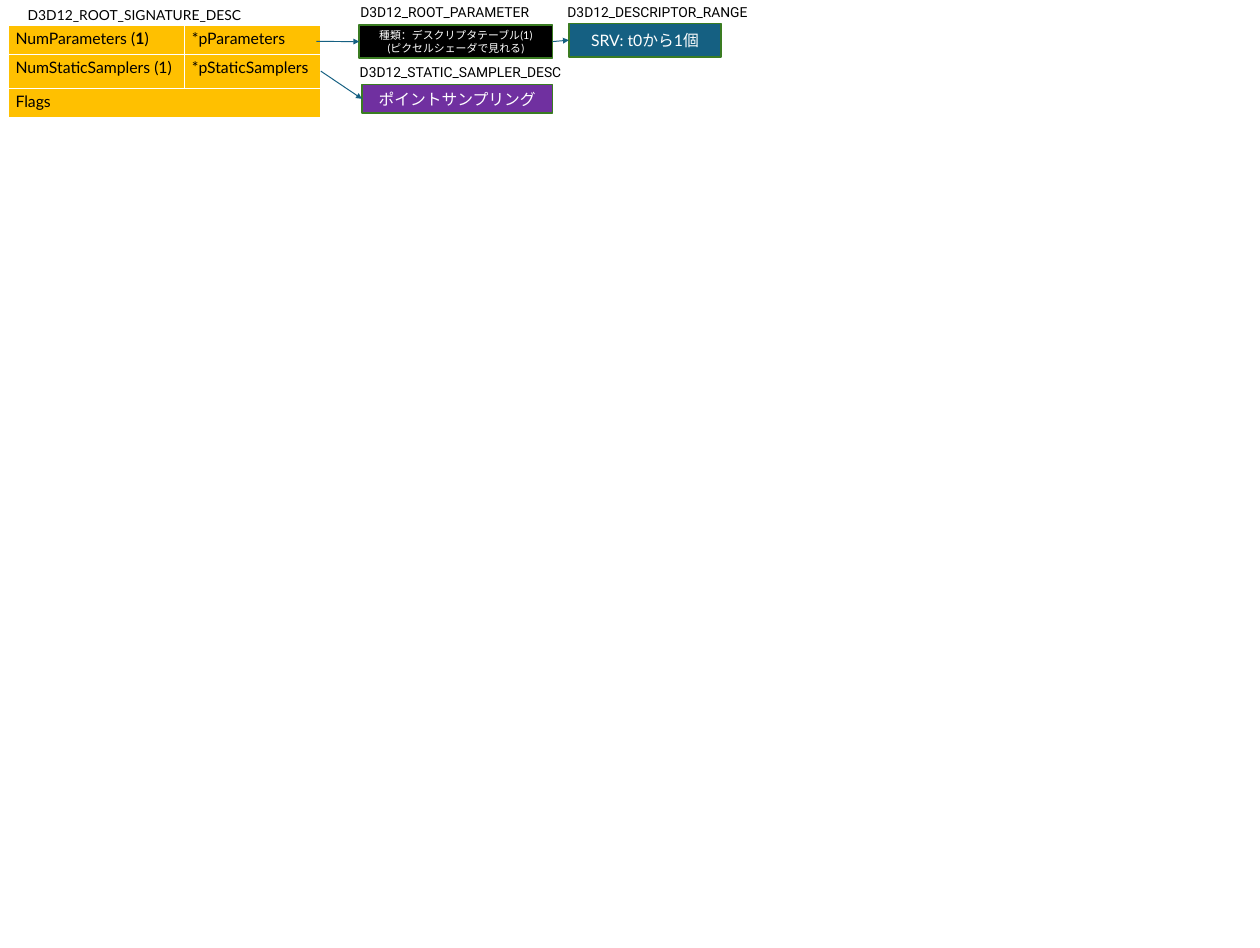
from dataclasses import dataclass
from typing import Optional

import lxml.etree
import pptx
import pptx.dml.color
import pptx.enum.shapes
import pptx.enum.text
import pptx.oxml.ns
import pptx.util

Cm = pptx.util.Cm
Pt = pptx.util.Pt
Color = pptx.dml.color.RGBColor


@dataclass(frozen=True)
class Theme:
    black: Color = Color(0x00, 0x00, 0x00)
    white: Color = Color(0xFF, 0xFF, 0xFF)
    amber: Color = Color(0xFF, 0xC0, 0x00)
    teal: Color = Color(0x15, 0x60, 0x82)
    purple: Color = Color(0x70, 0x30, 0xA0)
    green: Color = Color(0x3A, 0x7C, 0x22)
    body: str = "Lato"
    heading: str = "Roboto"
    body_size: float = 16
    label_size: float = 14
    small_size: float = 11
    thin: float = 1
    outline: float = 1.5


THEME = Theme()


@dataclass(frozen=True)
class Label:
    text: str
    left: float
    top: float
    width: float
    font: str = THEME.heading


@dataclass(frozen=True)
class Box:
    lines: tuple[str, ...]
    left: float
    top: float
    width: float
    height: float
    fill: Color
    size: float = THEME.body_size


@dataclass(frozen=True)
class Arrow:
    start: tuple[float, float]
    target: str
    source: Optional[str] = None


LABEL_HEIGHT = 0.86
TOP, LEFT_SIDE, RIGHT_SIDE = 0, 1, 3

LABELS = [
    Label("D3D12_ROOT_SIGNATURE_DESC", 0.74, 0.1, 9.65, THEME.body),
    Label("D3D12_DESCRIPTOR_RANGE", 20.02, 0, 8.43),
    Label("D3D12_ROOT_PARAMETER", 12.62, 0, 7.85),
    Label("D3D12_STATIC_SAMPLER_DESC", 12.6, 2.16, 9.86),
]
BOXES = {
    "range": Box(("SRV: t0から1個",), 20.32, 0.84, 5.44, 1.19, THEME.teal),
    "parameter": Box(
        ("種類：デスクリプタテーブル(1)", "(ピクセルシェーダで見れる)"),
        12.83, 0.89, 6.91, 1.19, THEME.black, THEME.small_size,
    ),
    "sampler": Box(("ポイントサンプリング",), 12.93, 3.02, 6.81, 1.02, THEME.purple),
}
ARROWS = [
    Arrow((11.3, 1.48), "parameter"),
    Arrow((19.74, 1.48), "range", "parameter"),
    Arrow((11.46, 2.54), "sampler"),
]

# Each cell is a sequence of (text, bold) spans
SIGNATURE_ROWS = [
    [[("NumParameters (", False), ("1", True), (")", False)], [("*pParameters", False)]],
    [[("NumStaticSamplers (1)", False)], [("*pStaticSamplers", False)]],
    [[("Flags", False)], []],
]
COLUMN_WIDTHS = [6.3, 4.85]
ROW_HEIGHTS = [1.04, 1.22, 1.04]


def style_font(para, name: str, size: float, color: Color) -> None:
    para.font.name = name
    para.font.size = Pt(size)
    para.font.color.rgb = color


def add_cell_borders(cell, color: Color, width: float) -> None:
    properties = cell._tc.get_or_add_tcPr()
    for position, side in enumerate(("lnL", "lnR", "lnT", "lnB")):
        line = lxml.etree.Element(pptx.oxml.ns.qn(f"a:{side}"), w=str(Pt(width)))
        fill = lxml.etree.SubElement(line, pptx.oxml.ns.qn("a:solidFill"))
        lxml.etree.SubElement(fill, pptx.oxml.ns.qn("a:srgbClr"), val=str(color))
        properties.insert(position, line)


def add_signature_table(page, left: float, top: float) -> None:
    frame = page.shapes.add_table(
        len(ROW_HEIGHTS), len(COLUMN_WIDTHS), Cm(left), Cm(top),
        Cm(sum(COLUMN_WIDTHS)), Cm(sum(ROW_HEIGHTS)),
    )
    table = frame.table
    table.first_row = table.horz_banding = False
    for column, width in zip(table.columns, COLUMN_WIDTHS):
        column.width = Cm(width)
    for row, height, contents in zip(table.rows, ROW_HEIGHTS, SIGNATURE_ROWS):
        row.height = Cm(height)
        for cell, spans in zip(row.cells, contents):
            cell.fill.solid()
            cell.fill.fore_color.rgb = THEME.amber
            add_cell_borders(cell, THEME.white, THEME.thin)
            para = cell.text_frame.paragraphs[0]
            style_font(para, THEME.body, THEME.body_size, THEME.black)
            for text, bold in spans:
                span = para.add_run()
                span.text = text
                span.font.bold = bold
    last_row = len(ROW_HEIGHTS) - 1
    table.cell(last_row, 0).merge(table.cell(last_row, 1))


def add_label(page, label: Label) -> None:
    shape = page.shapes.add_textbox(
        Cm(label.left), Cm(label.top), Cm(label.width), Cm(LABEL_HEIGHT)
    )
    shape.text_frame.word_wrap = True
    para = shape.text_frame.paragraphs[0]
    para.text = label.text
    style_font(para, label.font, THEME.label_size, THEME.black)


def add_box(page, box: Box):
    shape = page.shapes.add_shape(
        pptx.enum.shapes.MSO_SHAPE.RECTANGLE,
        Cm(box.left), Cm(box.top), Cm(box.width), Cm(box.height),
    )
    shape.shadow.inherit = False
    shape.fill.solid()
    shape.fill.fore_color.rgb = box.fill
    shape.line.color.rgb = THEME.green
    shape.line.width = Pt(THEME.outline)
    frame = shape.text_frame
    frame.word_wrap = True
    frame.vertical_anchor = pptx.enum.text.MSO_ANCHOR.MIDDLE
    frame.text = "\n".join(box.lines)
    for para in frame.paragraphs:
        para.alignment = pptx.enum.text.PP_ALIGN.CENTER
        style_font(para, THEME.body, box.size, THEME.white)
    return shape


def add_arrow(page, arrow: Arrow, shapes: dict) -> None:
    x, y = (Cm(value) for value in arrow.start)
    connector = page.shapes.add_connector(
        pptx.enum.shapes.MSO_CONNECTOR.STRAIGHT, x, y, x, y
    )
    if arrow.source:
        connector.begin_connect(shapes[arrow.source], RIGHT_SIDE)
    connector.end_connect(shapes[arrow.target], LEFT_SIDE)
    connector.line.color.rgb = THEME.teal
    connector.line.width = Pt(THEME.thin)
    line = connector.line._get_or_add_ln()
    lxml.etree.SubElement(line, pptx.oxml.ns.qn("a:tailEnd"), type="triangle")
    lxml.etree.SubElement(connector._element.spPr, pptx.oxml.ns.qn("a:effectLst"))


def main() -> None:
    deck = pptx.Presentation()
    deck.slide_width, deck.slide_height = Cm(45.01), Cm(33.86)
    page = deck.slides.add_slide(deck.slide_layouts[6])

    # Root signature structure
    add_signature_table(page, 0.3, 0.91)

    # Structures it points to, with their type names
    shapes = {name: add_box(page, box) for name, box in BOXES.items()}
    for label in LABELS:
        add_label(page, label)

    # Pointers
    for arrow in ARROWS:
        add_arrow(page, arrow, shapes)

    deck.save("out.pptx")


if __name__ == "__main__":
    main()
